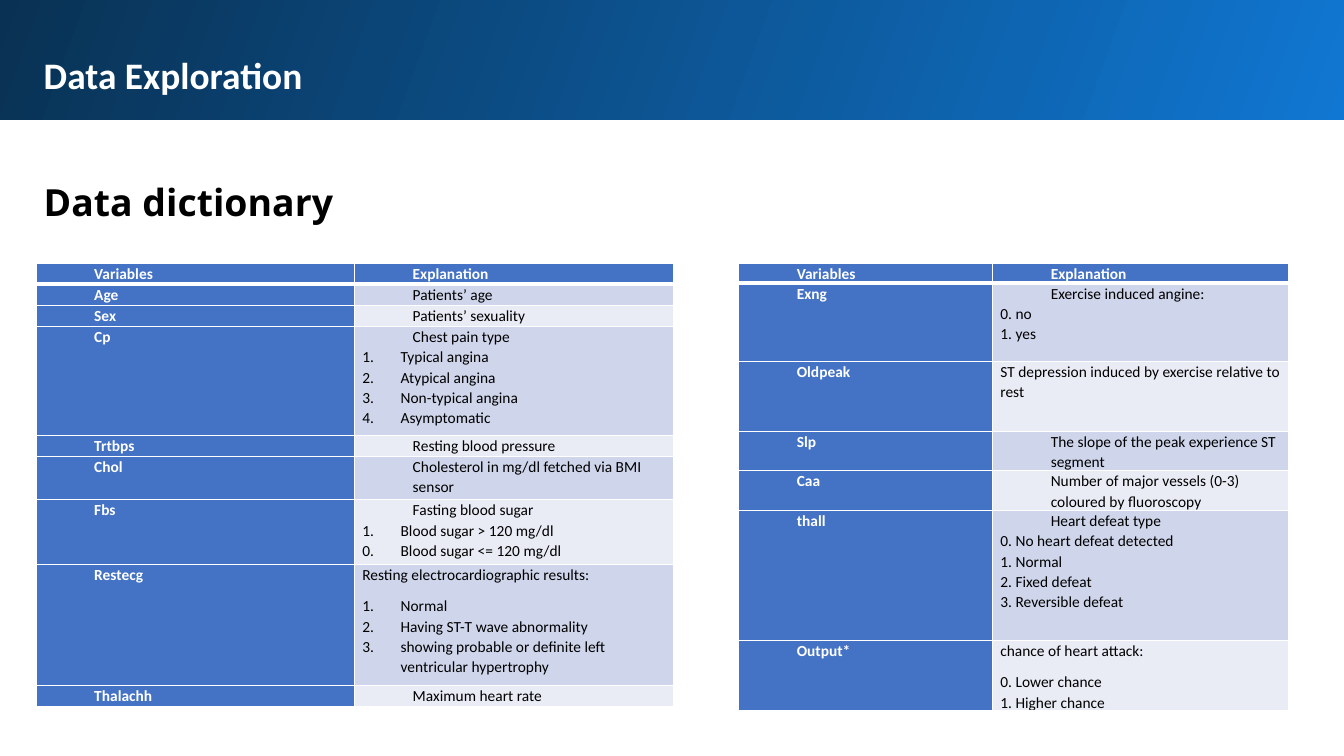
import lxml.etree
import pptx
import pptx.dml.color
import pptx.enum.shapes
import pptx.enum.text
import pptx.oxml.ns
import pptx.util
from dataclasses import dataclass

Pt = pptx.util.Pt

# Paragraph kinds: "inset" is indented, "flush" is not, "lead" is flush with a
# gap below, "number" is auto-numbered, "hanging" has its own typed number.
HEADER = ("Variables", [("inset", "Explanation")])
TITLE = "Data Exploration"
SUBTITLE = "Data dictionary"

# Each row: height, variable, explanation paragraphs
LEFT_ROWS = [
    (15.12, *HEADER),
    (15.12, "Age", [("inset", "Patients’ age")]),
    (15.12, "Sex", [("inset", "Patients’ sexuality")]),
    (77.76, "Cp", [
        ("inset", "Chest pain type"),
        ("number", "Typical angina"),
        ("number", "Atypical angina"),
        ("number", "Non-typical angina"),
        ("number", "Asymptomatic"),
    ]),
    (15.12, "Trtbps", [("inset", "Resting blood pressure")]),
    (30.96, "Chol", [("inset", "Cholesterol in mg/dl fetched via BMI sensor")]),
    (46.08, "Fbs", [
        ("inset", "Fasting blood sugar"),
        ("number", "Blood sugar > 120 mg/dl"),
        ("hanging", "0.\tBlood sugar <= 120 mg/dl"),
    ]),
    (86.4, "Restecg", [
        ("lead", "Resting electrocardiographic results:"),
        ("number", "Normal"),
        ("number", "Having ST-T wave abnormality"),
        ("number", "showing probable or definite left ventricular hypertrophy"),
    ]),
    (15.12, "Thalachh", [("inset", "Maximum heart rate")]),
]
RIGHT_ROWS = [
    (14.4, *HEADER),
    (55.7, "Exng", [
        ("inset", "Exercise induced angine:"),
        ("flush", "0. no"),
        ("flush", "1. yes"),
    ]),
    (50, "Oldpeak", [("flush", "ST depression induced by exercise relative to rest")]),
    (28.2, "Slp", [("inset", "The slope of the peak experience ST segment")]),
    (28.2, "Caa", [("inset", "Number of major vessels (0-3) coloured by fluoroscopy")]),
    (92.9, "thall", [
        ("inset", "Heart defeat type"),
        ("flush", "0. No heart defeat detected"),
        ("flush", "1. Normal"),
        ("flush", "2. Fixed defeat"),
        ("flush", "3. Reversible defeat"),
    ]),
    (50, "Output*", [
        ("lead", "chance of heart attack:"),
        ("flush", "0. Lower chance"),
        ("flush", "1. Higher chance"),
    ]),
]
# Left edge, column widths, rows
DICTIONARIES = [
    (25.92, (227.52, 227.52), LEFT_ROWS),
    (527.76, (181.44, 210.96), RIGHT_ROWS),
]
DICTIONARY_TOP = 187.92
INDENTS = {  # left margin, first-line indent
    "inset": (36, 0),
    "flush": (0, 0),
    "lead": (0, 0),
    "number": (27.36, -27.36),
    "hanging": (27.36, -27.36),
}


@dataclass(frozen=True)
class Theme:
    white: str = "FFFFFF"
    black: str = "000000"
    band_start: str = "1077D2"
    band_end: str = "093153"
    variable: str = "4472C4"
    stripes: tuple = ("E9EBF5", "CFD5EA")
    body_font: str = "Calibri"
    subtitle_font: str = "Open Sans"
    heading_size: float = 26.7
    cell_size: float = 11


THEME = Theme()


def rgb(colour):
    return pptx.dml.color.RGBColor.from_string(colour)


def add_run(paragraph, text, font, size, colour, bold):
    run = paragraph.add_run()
    run.text = text
    run.font.name = font
    run.font.size = Pt(size)
    run.font.bold = bold
    run.font.color.rgb = rgb(colour)


def add_band(slide):
    band = slide.shapes.add_shape(
        pptx.enum.shapes.MSO_SHAPE.RECTANGLE, Pt(-1.44), Pt(-2.16), Pt(964.8), Pt(87.84))
    band.shadow.inherit = False
    band.line.fill.background()
    band.fill.gradient()
    band.fill.gradient_angle = 160
    for stop, colour in zip(band.fill.gradient_stops, (THEME.band_start, THEME.band_end)):
        stop.color.rgb = rgb(colour)


def add_heading(slide, text, top, height, font, colour, spacing):
    heading = slide.shapes.add_textbox(Pt(21.6), Pt(top), Pt(899.28), Pt(height))
    frame = heading.text_frame
    frame.word_wrap = True
    frame.auto_size = pptx.enum.text.MSO_AUTO_SIZE.SHAPE_TO_FIT_TEXT
    frame.margin_left = frame.margin_right = Pt(9.6)
    frame.margin_top = frame.margin_bottom = Pt(9.6)
    paragraph = frame.paragraphs[0]
    paragraph.line_spacing = spacing
    add_run(paragraph, text, font, THEME.heading_size, colour, True)


def add_borders(cell, row):
    """White lines, with a thicker one between the header and the first row."""
    widths = {"lnL": 1, "lnR": 1, "lnT": 3 if row == 1 else 1, "lnB": 3 if row == 0 else 1}
    qn = pptx.oxml.ns.qn
    properties = cell._tc.get_or_add_tcPr()
    for side, width in widths.items():
        line = lxml.etree.SubElement(properties, qn(f"a:{side}"), w=str(Pt(width)))
        fill = lxml.etree.SubElement(line, qn("a:solidFill"))
        lxml.etree.SubElement(fill, qn("a:srgbClr"), val=THEME.white)


def fill_cell(cell, paragraphs, background, colour, bold):
    cell.fill.solid()
    cell.fill.fore_color.rgb = rgb(background)
    cell.margin_left = cell.margin_right = Pt(5.4)
    cell.margin_top = cell.margin_bottom = 0
    frame = cell.text_frame
    for index, (kind, text) in enumerate(paragraphs):
        paragraph = frame.add_paragraph() if index else frame.paragraphs[0]
        paragraph.line_spacing = 1.07
        paragraph.space_after = Pt(8 if kind == "lead" else 0)
        properties = paragraph._p.get_or_add_pPr()
        margin, indent = INDENTS[kind]
        properties.set("marL", str(Pt(margin)))
        properties.set("indent", str(Pt(indent)))
        if kind == "number":
            lxml.etree.SubElement(
                properties, pptx.oxml.ns.qn("a:buAutoNum"), type="arabicPeriod")
        add_run(paragraph, text, THEME.body_font, THEME.cell_size, colour, bold)


def add_dictionary(slide, left, widths, rows):
    height = sum(row[0] for row in rows)
    dictionary = slide.shapes.add_table(
        len(rows), len(widths), Pt(left), Pt(DICTIONARY_TOP), Pt(sum(widths)), Pt(height)).table
    for column, width in zip(dictionary.columns, widths):
        column.width = Pt(width)
    for index, (row_height, variable, explanation) in enumerate(rows):
        dictionary.rows[index].height = Pt(row_height)
        variable_cell, explanation_cell = dictionary.rows[index].cells
        add_borders(variable_cell, index)
        add_borders(explanation_cell, index)
        fill_cell(variable_cell, [("inset", variable)], THEME.variable, THEME.white, True)
        if index == 0:
            fill_cell(explanation_cell, explanation, THEME.variable, THEME.white, True)
        else:
            fill_cell(explanation_cell, explanation, THEME.stripes[index % 2], THEME.black, False)


def main():
    deck = pptx.Presentation()
    deck.slide_width, deck.slide_height = Pt(960), Pt(540)
    slide = deck.slides.add_slide(deck.slide_layouts[6])
    add_band(slide)
    add_heading(slide, TITLE, 27.36, 51.84, THEME.body_font, THEME.white, 1.0)
    add_heading(slide, SUBTITLE, 113.76, 54, THEME.subtitle_font, THEME.black, 1.15)
    for left, widths, rows in DICTIONARIES:
        add_dictionary(slide, left, widths, rows)
    deck.save("out.pptx")


if __name__ == "__main__":
    main()
